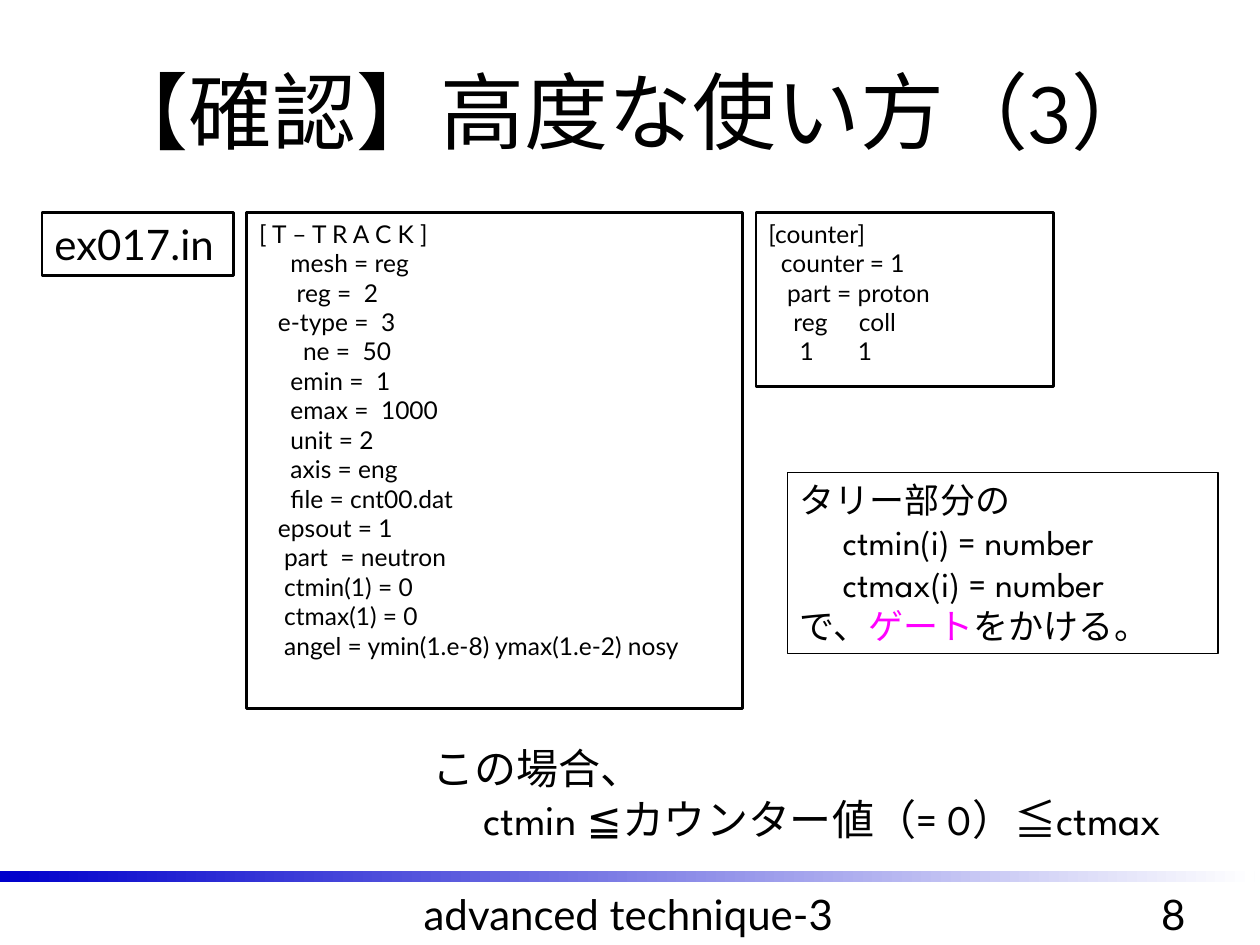
from dataclasses import dataclass

from pptx import Presentation
from pptx.dml.color import RGBColor
from pptx.enum.shapes import MSO_SHAPE
from pptx.enum.text import MSO_ANCHOR, MSO_AUTO_SIZE, PP_ALIGN
from pptx.util import Pt

RECT = MSO_SHAPE.RECTANGLE
TOP, MIDDLE = MSO_ANCHOR.TOP, MSO_ANCHOR.MIDDLE
LEFT, CENTER = PP_ALIGN.LEFT, PP_ALIGN.CENTER
NO_FIT = MSO_AUTO_SIZE.NONE


@dataclass(frozen=True)
class Theme:
    ink: str = "000000"
    paper: str = "FFFFFF"
    accent: str = "FF00FF"
    bar: str = "0000CC"
    code_font: str = "Lato"
    text_font: str = "League Spartan"
    title: int = 48
    large: int = 24
    note: int = 20
    code: int = 14


THEME = Theme()


def write(frame, lines, size, font=THEME.code_font, align=LEFT,
          anchor=TOP, wrap=True, indents=()):
    """Fill a frame; a line is a string or a list of (text, color) pairs."""
    frame.auto_size = NO_FIT
    frame.word_wrap = wrap
    frame.vertical_anchor = anchor
    for i, line in enumerate(lines):
        para = frame.paragraphs[0] if i == 0 else frame.add_paragraph()
        para.alignment = align
        if i < len(indents) and indents[i]:
            para._p.get_or_add_pPr().set("marL", str(Pt(indents[i])))
        parts = [(line, THEME.ink)] if isinstance(line, str) else line
        for text, color in parts:
            run = para.add_run()
            run.text = text
            run.font.name = font
            run.font.size = Pt(size)
            run.font.color.rgb = RGBColor.from_string(color)


class Page:
    def __init__(self, deck, theme):
        self.theme = theme
        self.slide = deck.slides.add_slide(deck.slide_layouts[5])
        self.shapes = self.slide.shapes

    def title(self, text, *area):
        head = self.shapes.title
        head.left, head.top, head.width, head.height = map(Pt, area)
        write(head.text_frame, [text], self.theme.title,
              font=self.theme.text_font, align=CENTER, anchor=MIDDLE)

    def rect(self, *area):
        shape = self.shapes.add_shape(RECT, *map(Pt, area))
        shape.shadow.inherit = False
        return shape

    def bar(self, *area):
        shape = self.rect(*area)
        shape.line.fill.background()
        shape.fill.gradient()
        shape.fill.gradient_angle = 0
        ends = (self.theme.bar, self.theme.paper)
        for stop, color in zip(shape.fill.gradient_stops, ends):
            stop.color.rgb = RGBColor.from_string(color)

    def panel(self, area, lines, size, line=1.5, **style):
        shape = self.rect(*area)
        shape.fill.solid()
        shape.fill.fore_color.rgb = RGBColor.from_string(self.theme.paper)
        shape.line.color.rgb = RGBColor.from_string(self.theme.ink)
        shape.line.width = Pt(line)
        write(shape.text_frame, lines, size, **style)

    def text(self, area, lines, size, **style):
        box = self.shapes.add_textbox(*map(Pt, area))
        write(box.text_frame, lines, size, **style)


TRACK = """\
[ T – T R A C K ]
     mesh = reg
      reg =  2
   e-type =  3
       ne =  50
     emin =  1
     emax =  1000
     unit = 2
     axis = eng
     file = cnt00.dat
   epsout = 1
    part  = neutron
    ctmin(1) = 0
    ctmax(1) = 0
    angel = ymin(1.e-8) ymax(1.e-2) nosy"""

COUNTER = """\
[counter]
  counter = 1
   part = proton
    reg     coll
     1       1"""


def main():
    deck = Presentation()
    deck.slide_width, deck.slide_height = Pt(720), Pt(540)
    page = Page(deck, THEME)

    # Title
    page.title("【確認】高度な使い方（3）", 18, 18, 684, 90)

    # Footer
    page.bar(0, 498, 717, 6)
    page.text((173, 504, 372, 36), ["advanced technique-3"], THEME.large,
              align=CENTER)
    page.text((642, 504, 57, 36), ["8"], THEME.large, align=CENTER)

    # File name and its listings, on one top line
    top = 121.5
    page.panel((24, top, 109.5, 36), ["ex017.in"], THEME.large, wrap=False)
    page.panel((141, top, 283.5, 283.5), TRACK.split("\n"), THEME.code)
    page.panel((432, top, 170, 99.5), COUNTER.split("\n"), THEME.code)

    # Gate rule
    page.panel((450, 270, 246, 103.5), [
        "タリー部分の",
        "ctmin(i) = number",
        "ctmax(i) = number",
        [("で、", THEME.ink), ("ゲート", THEME.accent),
         ("をかける。", THEME.ink)],
    ], THEME.note, line=1, font=THEME.text_font, indents=(0, 24.5, 24.5))

    # Result
    page.text((240, 421, 462, 94), [
        "この場合、",
        "ctmin ≦カウンター値（= 0）≦ctmax",
    ], THEME.large, font=THEME.text_font, indents=(0, 29))

    deck.save("out.pptx")


if __name__ == "__main__":
    main()
